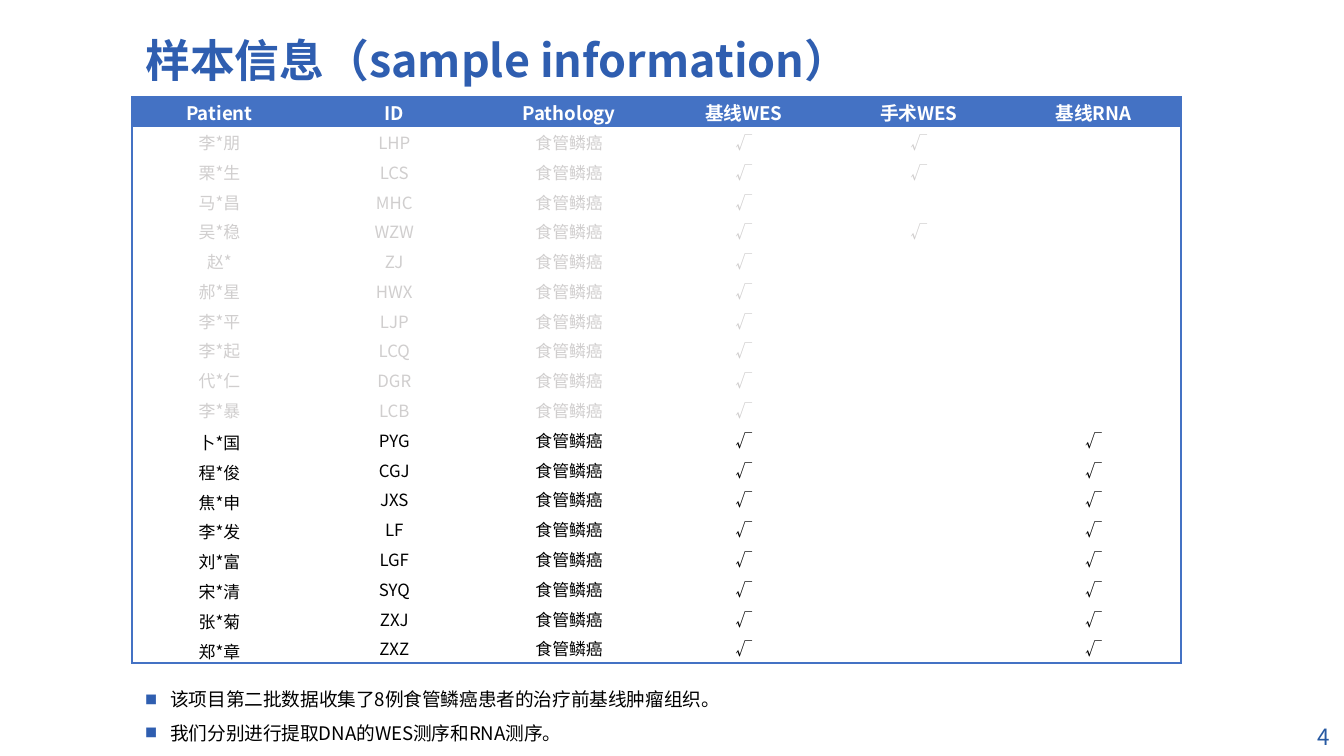
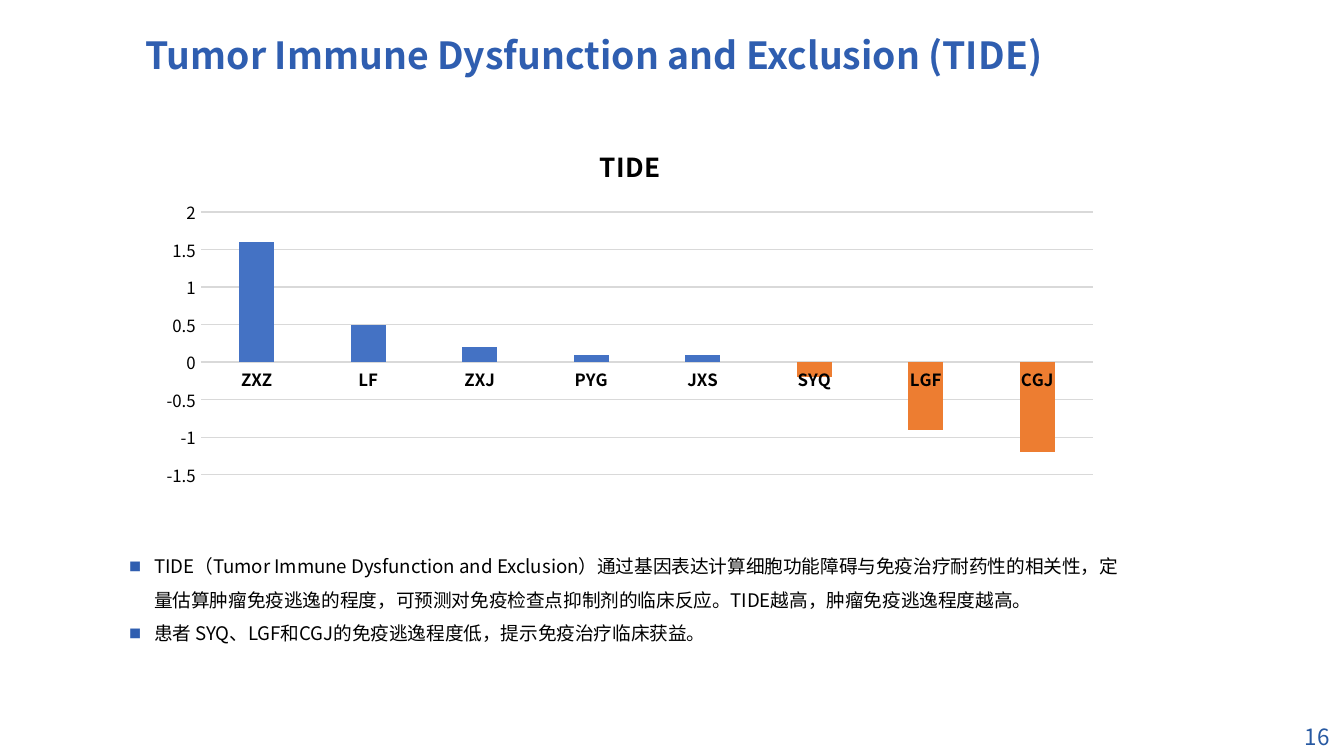
from lxml import etree
from pptx import Presentation
from pptx.chart.data import CategoryChartData
from pptx.dml.color import RGBColor
from pptx.enum.chart import XL_CHART_TYPE, XL_TICK_MARK
from pptx.enum.text import MSO_ANCHOR, PP_ALIGN
from pptx.oxml import parse_xml
from pptx.oxml.ns import nsdecls, qn
from pptx.util import Pt

COLUMNS = XL_CHART_TYPE.COLUMN_CLUSTERED
NO_TICK = XL_TICK_MARK.NONE
MIDDLE, BOTTOM, TOP = MSO_ANCHOR.MIDDLE, MSO_ANCHOR.BOTTOM, MSO_ANCHOR.TOP
LEFT, CENTER, RIGHT = PP_ALIGN.LEFT, PP_ALIGN.CENTER, PP_ALIGN.RIGHT

# Shared look
FONT = "Noto Sans CJK SC"
TITLE_BLUE, NUMBER_BLUE = "2F5EB0", "2759A2"
BLUE, ORANGE, GRID = "4472C4", "ED7D31", "D9D9D9"
BLACK, WHITE, FADED = "000000", "FFFFFF", "D0CECE"
SLIDE_W, SLIDE_H = 1344, 756
SCALE = 9144000 / SLIDE_W
NUMBER_BOX = (1221, 718, 122, 38)

# Sample slide
SAMPLES = {
    "title": "样本信息（sample information）",
    "title_size": 24,
    "title_box": (132, 23, 953, 79),
    "number": "4",
    "notes_box": (132, 670, 994, 82),
    "notes": ["该项目第二批数据收集了8例食管鳞癌患者的治疗前基线肿瘤组织。",
              "我们分别进行提取DNA的WES测序和RNA测序。"],
}
TABLE_BOX = (132, 97, 1049, 567)
HEADINGS = ["Patient", "ID", "Pathology", "基线WES", "手术WES", "基线RNA"]
PATHOLOGY, TICK = "食管鳞癌", "√"
FIRST_BATCH = [("李*朋", "LHP"), ("栗*生", "LCS"), ("马*昌", "MHC"), ("吴*稳", "WZW"),
               ("赵*", "ZJ"), ("郝*星", "HWX"), ("李*平", "LJP"), ("李*起", "LCQ"),
               ("代*仁", "DGR"), ("李*暴", "LCB")]
SECOND_BATCH = [("卜*国", "PYG"), ("程*俊", "CGJ"), ("焦*申", "JXS"), ("李*发", "LF"),
                ("刘*富", "LGF"), ("宋*清", "SYQ"), ("张*菊", "ZXJ"), ("郑*章", "ZXZ")]
SURGERY_WES = {"LHP", "LCS", "WZW"}

# TIDE slide
TIDE = {
    "title": "Tumor Immune Dysfunction and Exclusion (TIDE)",
    "title_size": 20,
    "title_box": (132, 18, 994, 79),
    "number": "16",
    "notes_box": (116, 537, 1027, 116),
    "notes": ["TIDE（Tumor Immune Dysfunction and Exclusion）通过基因表达计算细胞功能障碍与"
              "免疫治疗耐药性的相关性，定量估算肿瘤免疫逃逸的程度，可预测对免疫检查点抑制剂的"
              "临床反应。TIDE越高，肿瘤免疫逃逸程度越高。",
              "患者 SYQ、LGF和CGJ的免疫逃逸程度低，提示免疫治疗临床获益。"],
}
CHART_BOX = (148, 124, 965, 371)
PLOT_BOX = (201, 212, 892, 263)
CHART_TITLE_AT = (595, 139)
SCORES = {"ZXZ": 1.6, "LF": 0.5, "ZXJ": 0.2, "PYG": 0.1,
          "JXS": 0.1, "SYQ": -0.2, "LGF": -0.9, "CGJ": -1.2}


def px(length):
    return round(length * SCALE)


def place(box):
    return [px(length) for length in box]


def rgb(color):
    return RGBColor.from_string(color)


def style_font(font, size, color, bold=False):
    font.name, font.size, font.bold = FONT, Pt(size), bold
    font.color.rgb = rgb(color)


def style_paragraph(paragraph, size, color, bold=False, align=LEFT):
    paragraph.alignment = align
    for run in paragraph.runs:
        style_font(run.font, size, color, bold)
        east_asian = etree.SubElement(run.font._element, qn("a:ea"))
        east_asian.set("typeface", FONT)


def add_text(slide, box, lines, size, color, bold=False, align=LEFT,
             anchor=MIDDLE, spacing=None):
    frame = slide.shapes.add_textbox(*place(box)).text_frame
    frame.word_wrap = True
    frame.vertical_anchor = anchor
    frame.text = "\n".join(lines)
    for paragraph in frame.paragraphs:
        style_paragraph(paragraph, size, color, bold, align)
        if spacing:
            paragraph.line_spacing = spacing
    return frame


def add_bullet(paragraph):
    properties = paragraph._p.get_or_add_pPr()
    properties.set("marL", str(px(25)))
    properties.set("indent", str(-px(25)))
    color = etree.SubElement(properties, qn("a:buClr"))
    etree.SubElement(color, qn("a:srgbClr")).set("val", TITLE_BLUE)
    etree.SubElement(properties, qn("a:buSzPct")).set("val", "65000")
    etree.SubElement(properties, qn("a:buFont")).set("typeface", FONT)
    etree.SubElement(properties, qn("a:buChar")).set("char", "■")


def add_content_slide(prs, content):
    """Title, bulleted notes and slide number."""
    slide = prs.slides.add_slide(prs.slide_layouts[6])
    add_text(slide, NUMBER_BOX, [content["number"]], 12, NUMBER_BLUE, align=RIGHT)
    add_text(slide, content["title_box"], [content["title"]], content["title_size"],
             TITLE_BLUE, bold=True, spacing=0.9)
    notes = add_text(slide, content["notes_box"], content["notes"], 10, BLACK,
                     anchor=TOP, spacing=1.5)
    for paragraph in notes.paragraphs:
        add_bullet(paragraph)
    return slide


def set_borders(cell, outer_sides):
    properties = cell._tc.get_or_add_tcPr()
    for side in "LRTB":
        line = etree.SubElement(properties, qn(f"a:ln{side}"))
        if side in outer_sides:
            line.set("w", str(Pt(0.9)))
            fill = etree.SubElement(line, qn("a:solidFill"))
            etree.SubElement(fill, qn("a:srgbClr")).set("val", BLUE)
        else:
            etree.SubElement(line, qn("a:noFill"))


def fill_cell(cell, text, size, color, bold, anchor):
    cell.margin_left = cell.margin_right = cell.margin_top = px(1)
    cell.margin_bottom = 0
    cell.vertical_anchor = anchor
    cell.text = text
    paragraph = cell.text_frame.paragraphs[0]
    style_paragraph(paragraph, size, color, bold, CENTER)
    if not text:
        # An empty cell must not stretch its row
        etree.SubElement(paragraph._p, qn("a:endParaRPr")).set("sz", str(size * 100))


def add_sample_table(slide):
    rows = [HEADINGS]
    for name, code in FIRST_BATCH:
        rows.append([name, code, PATHOLOGY, TICK, TICK if code in SURGERY_WES else "", ""])
    for name, code in SECOND_BATCH:
        rows.append([name, code, PATHOLOGY, TICK, "", TICK])
    last_row, last_col = len(rows) - 1, len(HEADINGS) - 1

    table = slide.shapes.add_table(len(rows), len(HEADINGS), *place(TABLE_BOX)).table
    table.horz_banding = False
    for column in table.columns:
        column.width = px(TABLE_BOX[2] / len(HEADINGS))
    for row in table.rows:
        row.height = px(TABLE_BOX[3] / len(rows))

    for r, row in enumerate(rows):
        header, second_batch = r == 0, r > len(FIRST_BATCH)
        color = WHITE if header else BLACK if second_batch else FADED
        for c, text in enumerate(row):
            cell = table.cell(r, c)
            edges = {"L": c == 0, "R": c == last_col, "T": header, "B": r == last_row}
            set_borders(cell, [side for side, outer in edges.items() if outer])
            if header:
                cell.fill.solid()
                cell.fill.fore_color.rgb = rgb(BLUE)
            else:
                cell.fill.background()
            anchor = BOTTOM if second_batch and c == 0 else MIDDLE
            fill_cell(cell, text, 10 if header else 9, color, header, anchor)


def manual_layout(at, size=None):
    """Position in the chart, as fractions of its box."""
    left, top, width, height = CHART_BOX
    values = {"x": (at[0] - left) / width, "y": (at[1] - top) / height}
    if size:
        values.update(w=size[0] / width, h=size[1] / height)
    target = '<c:layoutTarget val="inner"/>' if size else ""
    modes = "".join(f'<c:{key}Mode val="edge"/>' for key in "xy")
    places = "".join(f'<c:{key} val="{value:.4f}"/>' for key, value in values.items())
    return parse_xml(f'<c:layout {nsdecls("c")}><c:manualLayout>{target}{modes}{places}'
                     '</c:manualLayout></c:layout>')


def set_layout(parent, layout, index):
    for old in parent.findall(qn("c:layout")):
        parent.remove(old)
    parent.insert(index, layout)


def add_tide_chart(slide):
    data = CategoryChartData()
    data.categories = list(SCORES)
    data.add_series("Series 1", list(SCORES.values()))
    chart = slide.shapes.add_chart(COLUMNS, *place(CHART_BOX), data).chart
    style_font(chart.font, 10, BLACK)
    chart.has_legend = False

    chart.has_title = True
    title = chart.chart_title
    title.text_frame.text = "TIDE"
    style_font(title.text_frame.paragraphs[0].runs[0].font, 14, BLACK, bold=True)
    set_layout(title._element, manual_layout(CHART_TITLE_AT), 1)
    set_layout(chart._chartSpace.chart.plotArea, manual_layout(PLOT_BOX[:2], PLOT_BOX[2:]), 0)

    # Columns, negative scores in orange
    plot = chart.plots[0]
    plot.gap_width, plot.overlap = 219, -27
    plot.vary_by_categories = False
    series = plot.series[0]
    series.invert_if_negative = False
    series.format.fill.solid()
    series.format.fill.fore_color.rgb = rgb(BLUE)
    for index, score in enumerate(SCORES.values()):
        if score < 0:
            fill = series.points[index].format.fill
            fill.solid()
            fill.fore_color.rgb = rgb(ORANGE)

    # Axes
    patients, scores = chart.category_axis, chart.value_axis
    for axis in (patients, scores):
        axis.major_tick_mark = axis.minor_tick_mark = NO_TICK
        style_font(axis.tick_labels.font, 9, BLACK, bold=axis is patients)
    scores.minimum_scale, scores.maximum_scale, scores.major_unit = -1.5, 2, 0.5
    scores.format.line.fill.background()
    for line in (patients.format.line, scores.major_gridlines.format.line):
        line.color.rgb = rgb(GRID)
        line.width = Pt(0.75)


def main():
    prs = Presentation()
    prs.slide_width, prs.slide_height = px(SLIDE_W), px(SLIDE_H)
    add_sample_table(add_content_slide(prs, SAMPLES))
    add_tide_chart(add_content_slide(prs, TIDE))
    prs.save("out.pptx")


if __name__ == "__main__":
    main()
